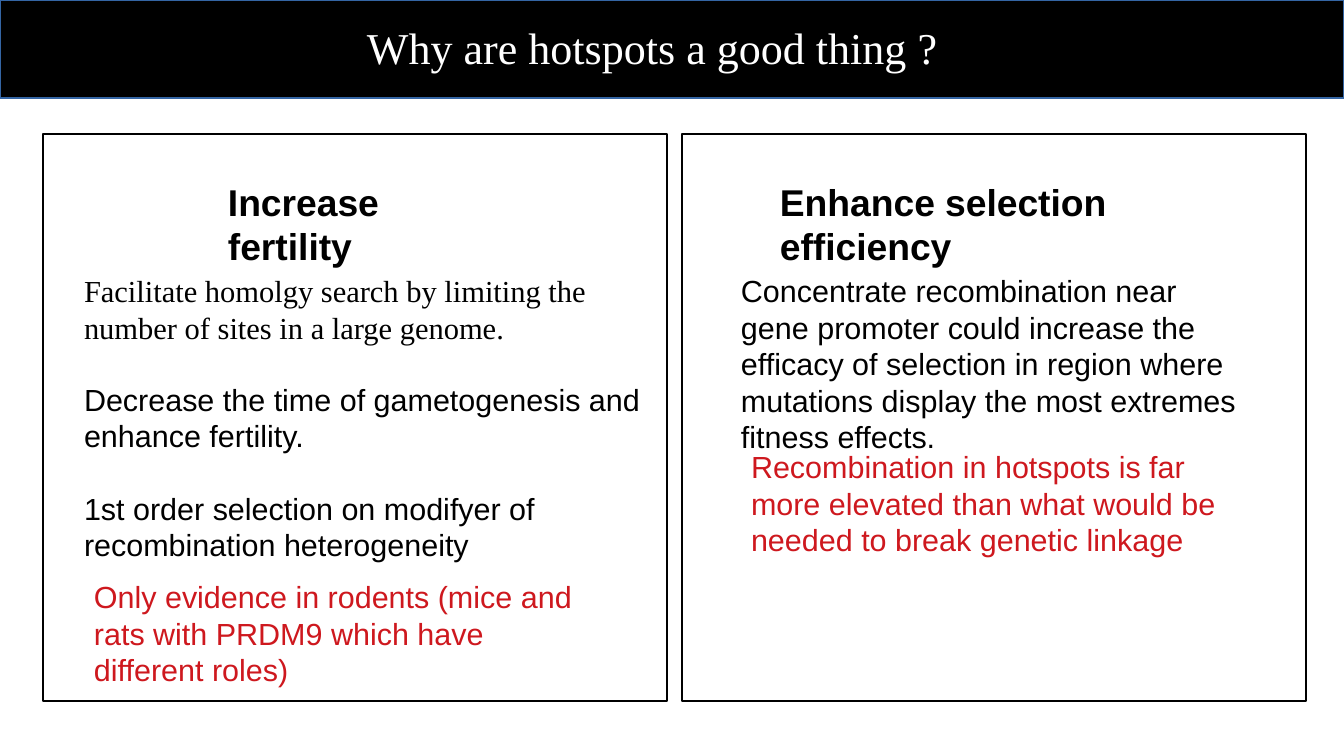
from pptx import Presentation
from pptx.dml.color import RGBColor
from pptx.enum.shapes import MSO_SHAPE
from pptx.enum.text import MSO_ANCHOR, MSO_AUTO_SIZE, PP_ALIGN
from pptx.util import Emu, Pt

PX = 7495
BLACK = RGBColor(0x00, 0x00, 0x00)
WHITE = RGBColor(0xFF, 0xFF, 0xFF)
RED = RGBColor(0xCE, 0x18, 0x1E)
BLUE = RGBColor(0x34, 0x65, 0xA4)
SANS, SERIF = "Arial", "Times New Roman"

TITLE = {"name": SERIF, "size": Pt(26), "color": WHITE}
HEADING = {"name": SANS, "size": Pt(22), "color": BLACK, "bold": True}
BODY = {"name": SANS, "size": Pt(18), "color": BLACK}
SERIF_BODY = {**BODY, "name": SERIF}
CAVEAT = {**BODY, "color": RED}


class SlideWriter:
    """Draws boxes and text on one slide, with lengths in px."""

    def __init__(self, page, paragraph_gap):
        self.page = page
        self.paragraph_gap = paragraph_gap

    def rectangle(self, area, fill, line, line_width):
        left, top, width, height = [Emu(length * PX) for length in area]
        box = self.page.shapes.add_shape(MSO_SHAPE.RECTANGLE, left, top, width, height)
        box.shadow.inherit = False
        if fill is None:
            box.fill.background()
        else:
            box.fill.solid()
            box.fill.fore_color.rgb = fill
        box.line.color.rgb = line
        box.line.width = line_width

    def text(self, area, *paragraphs):
        left, top, width, height = [Emu(length * PX) for length in area]
        frame = self.page.shapes.add_textbox(left, top, width, height).text_frame
        frame.word_wrap = True
        frame.auto_size = MSO_AUTO_SIZE.SHAPE_TO_FIT_TEXT
        frame.vertical_anchor = MSO_ANCHOR.TOP
        for index, (words, style) in enumerate(paragraphs):
            para = frame.add_paragraph() if index else frame.paragraphs[0]
            para.alignment = PP_ALIGN.LEFT
            if index:
                para.space_before = self.paragraph_gap
            span = para.add_run()
            span.text = words
            for name, value in style.items():
                if name == "color":
                    span.font.color.rgb = value
                else:
                    setattr(span.font, name, value)


def main():
    deck = Presentation()
    deck.slide_width, deck.slide_height = Emu(1344 * PX), Emu(756 * PX)
    page = deck.slides.add_slide(deck.slide_layouts[6])
    writer = SlideWriter(page, Pt(21))

    writer.rectangle((0, 0, 1344, 98), BLACK, BLUE, Pt(0))
    writer.text((355, 15, 605, 124), ("Why are hotspots a good thing ?", TITLE))
    for left in (43, 682):
        writer.rectangle((left, 134, 624, 567), None, BLACK, Pt(1.5))

    writer.text((216, 173, 288, 95), ("Increase fertility", HEADING))
    writer.text(
        (72, 266, 590, 353),
        ("Facilitate homolgy search by limiting the number of sites in a large genome.", SERIF_BODY),
        ("Decrease the time of gametogenesis and enhance fertility.", BODY),
        ("1st order selection on modifyer of recombination heterogeneity", BODY),
    )
    writer.text(
        (82, 572, 518, 115),
        ("Only evidence in rodents (mice and rats with PRDM9 which have different roles)", CAVEAT),
    )

    writer.text((768, 173, 518, 135), ("Enhance selection efficiency", HEADING))
    writer.text(
        (729, 266, 528, 183),
        ("Concentrate recombination near gene promoter could increase the efficacy of selection "
         "in region where mutations display the most extremes fitness effects.", BODY),
    )
    writer.text(
        (739, 442, 509, 115),
        ("Recombination in hotspots is far more elevated than what would be needed "
         "to break genetic linkage", CAVEAT),
    )
    deck.save("out.pptx")


if __name__ == "__main__":
    main()
